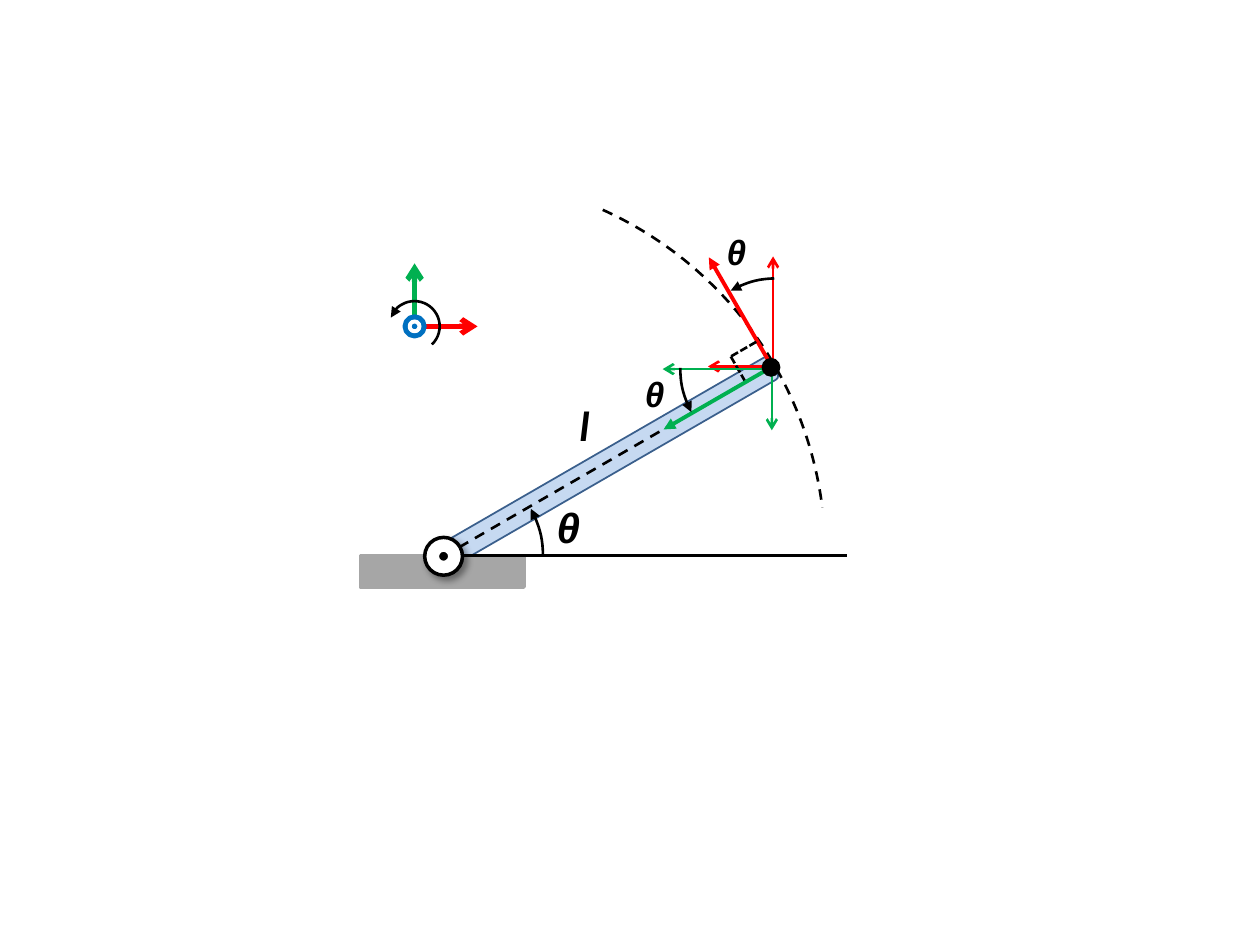
"""Draw a pendulum arm with its angle, tip vectors and reference axes."""
from math import cos, radians, sin

from lxml import etree
from pptx import Presentation
from pptx.dml.color import RGBColor
from pptx.enum import dml, shapes, text
from pptx.oxml import ns
from pptx.util import Pt

THEME = {
    "black": "000000", "white": "FFFFFF", "red": "FF0000", "green": "00B050",
    "blue": "0070C0", "arm": "C6D9F1", "arm_edge": "3A5F8C", "base": "A6A6A6",
    "thin": 1.5, "medium": 2.25, "thick": 3, "large": 24, "small": 20,
}
SHAPE = shapes.MSO_SHAPE
DASH, SHORT_DASH = dml.MSO_LINE.DASH, dml.MSO_LINE.SQUARE_DOT

ANGLE, ARM_LENGTH, FORCE, CORNER, AXIS = radians(30), 216, 72, 16.8, 36
COS, SIN = cos(ANGLE), sin(ANGLE)
PIVOT = (253.5, 317.9)
TIP = (PIVOT[0] + ARM_LENGTH * COS, PIVOT[1] - ARM_LENGTH * SIN)
ORIGIN = (236.9, 186.5)
TANGENT, INWARD = (-SIN, -COS), (-COS, SIN)

LABELS = [
    ("θ", "Arial", "large", 311, 283, 27.4, 36),
    ("l", "Calibri", "large", 324, 224.6, 25, 36),
    ("θ", "Arial", "small", 408.2, 128.2, 25, 31.5),
    ("θ", "Arial", "small", 361.4, 209.5, 25, 31.5),
]
ANGLE_ARCS = [
    ((444.2, 213.1), 54, 240.5, 268.2),
    ((442.8, 210.2), 54, 152, 179.9),
    ((253.8, 317.9), 56.5, 331.3, 0),
]
UP, LEFT, DOWN, RIGHT = (0, -1), (-1, 0), (0, 1), (1, 0)
TIP_VECTORS = [
    ("red", "thin", "arrow", (0, -0.5), LEFT, FORCE * SIN),
    ("red", "thin", "arrow", (1.2, -1), UP, FORCE * COS),
    ("red", "medium", "triangle", (0.5, -0.5), TANGENT, FORCE),
    ("green", "thin", "arrow", (0.5, 1), LEFT, FORCE * COS),
    ("green", "thin", "arrow", (0.5, 0), DOWN, FORCE * SIN),
    ("green", "medium", "triangle", (1, -0.5), INWARD, FORCE),
]


def color(name):
    return RGBColor.from_string(THEME[name])


def move(point, direction, length):
    return tuple(a + length * d for a, d in zip(point, direction))


def style_line(sp, name, width, dash=None, head=None, tail=None):
    sp.line.color.rgb = color(name)
    sp.line.width = Pt(width)
    if dash:
        sp.line.dash_style = dash
    ln = sp._element.spPr.find(ns.qn("a:ln"))
    for tag, kind in (("a:headEnd", head), ("a:tailEnd", tail)):
        if kind:
            etree.SubElement(ln, ns.qn(tag), type=kind)


def add_line(parent, start, end, name="black", width=THEME["thin"], **style):
    c = parent.add_connector(shapes.MSO_CONNECTOR.STRAIGHT, *map(Pt, (*start, *end)))
    style_line(c, name, width, **style)
    etree.SubElement(c._element.spPr, ns.qn("a:effectLst"))
    return c


def add_shape(parent, kind, center, w, h, fill=None, edge=None, width=1, **style):
    sp = parent.add_shape(kind, Pt(center[0] - w / 2), Pt(center[1] - h / 2), Pt(w), Pt(h))
    sp.shadow.inherit = False
    if fill:
        sp.fill.solid()
        sp.fill.fore_color.rgb = color(fill)
    else:
        sp.fill.background()
    if edge:
        style_line(sp, edge, width, **style)
    else:
        sp.line.fill.background()
    return sp


def add_dot(parent, center, size, fill, edge=None, width=1):
    return add_shape(parent, SHAPE.OVAL, center, size, size, fill, edge, width)


def add_arc(parent, center, radius, start, end, **style):
    sp = add_shape(parent, SHAPE.ARC, center, 2 * radius, 2 * radius,
                   edge="black", width=THEME["thin"], **style)
    for i, degrees in enumerate((start, end)):
        sp.adjustments[i] = degrees * 0.6


def add_label(parent, label, font, size, *box):
    tf = parent.add_textbox(*map(Pt, box)).text_frame
    tf.word_wrap = False
    tf.auto_size = text.MSO_AUTO_SIZE.SHAPE_TO_FIT_TEXT
    p = tf.paragraphs[0]
    p.text = label
    f = p.font
    f.name, f.size, f.bold, f.italic = font, Pt(THEME[size]), True, True
    f.color.rgb = color("black")


def add_soft_shadow(sp):
    effects = sp._element.spPr.find(ns.qn("a:effectLst"))
    shadow = etree.SubElement(effects, ns.qn("a:outerShdw"), blurRad=str(Pt(4)),
                              dist=str(Pt(3)), dir="2700000", algn="tl", rotWithShape="0")
    tint = etree.SubElement(shadow, ns.qn("a:srgbClr"), val=THEME["black"])
    etree.SubElement(tint, ns.qn("a:alpha"), val="40000")


def add_arm(tree):
    middle = ((PIVOT[0] + TIP[0]) / 2 + 1.4, (PIVOT[1] + TIP[1]) / 2 - 0.4)
    arm = add_shape(tree, SHAPE.ROUNDED_RECTANGLE, middle, 14.4, ARM_LENGTH, "arm", "arm_edge")
    arm.rotation = 60
    add_arc(tree, (255.6, 316.8), ARM_LENGTH, 294.3, 352.9, dash=DASH)
    base = add_shape(tree, SHAPE.RECTANGLE, (252.7, 326.5), 93.6, 18, "base", "base", 2)
    ground = add_line(tree, (252.7, 317.5), (483.8, 317.5))
    ground.begin_connect(base, 0)
    for label in LABELS[:2]:
        add_label(tree, *label)
    add_line(tree, TIP, PIVOT, dash=DASH)
    pivot = tree.add_group_shape().shapes
    add_soft_shadow(add_dot(pivot, PIVOT, 21.6, "white", "black", 2))
    add_dot(pivot, PIVOT, 7.2, "black", "white", 2)


def add_tip_vector(tree, name, width, tail, offset, direction, length):
    start = move(TIP, offset, 1)
    add_line(tree, start, move(start, direction, length), name, THEME[width], tail=tail)


def add_tip(tree):
    for vector in TIP_VECTORS[:3]:
        add_tip_vector(tree, *vector)
    add_arc(tree, *ANGLE_ARCS[0], head="triangle")
    add_label(tree, *LABELS[2])
    right_angle = tree.add_group_shape().shapes
    corner = move(move(TIP, TANGENT, CORNER), INWARD, CORNER)
    add_line(right_angle, move(TIP, TANGENT, CORNER), corner, dash=SHORT_DASH)
    add_line(right_angle, corner, move(TIP, INWARD, CORNER), dash=SHORT_DASH)
    for vector in TIP_VECTORS[3:]:
        add_tip_vector(tree, *vector)
    add_arc(tree, *ANGLE_ARCS[1], head="triangle")
    add_label(tree, *LABELS[3])
    add_dot(tree, TIP, 10.8, "black")
    add_arc(tree, *ANGLE_ARCS[2], head="triangle")


def add_axes(tree):
    axes = tree.add_group_shape().shapes
    for name, direction in (("red", RIGHT), ("green", UP)):
        add_line(axes, ORIGIN, move(ORIGIN, direction, AXIS), name, THEME["thick"], tail="arrow")
    add_dot(axes, ORIGIN, 10.8, "white", "blue", THEME["thick"])
    add_dot(axes, ORIGIN, 5.6, "blue", "white", THEME["medium"])
    add_arc(axes, ORIGIN, 14.4, 200.1, 46.2, head="triangle")


def main():
    prs = Presentation()
    prs.slide_width, prs.slide_height = Pt(720), Pt(540)
    s = prs.slides.add_slide(prs.slide_layouts[6])
    for draw in (add_arm, add_tip, add_axes):
        draw(s.shapes)
    prs.save("out.pptx")


if __name__ == "__main__":
    main()
